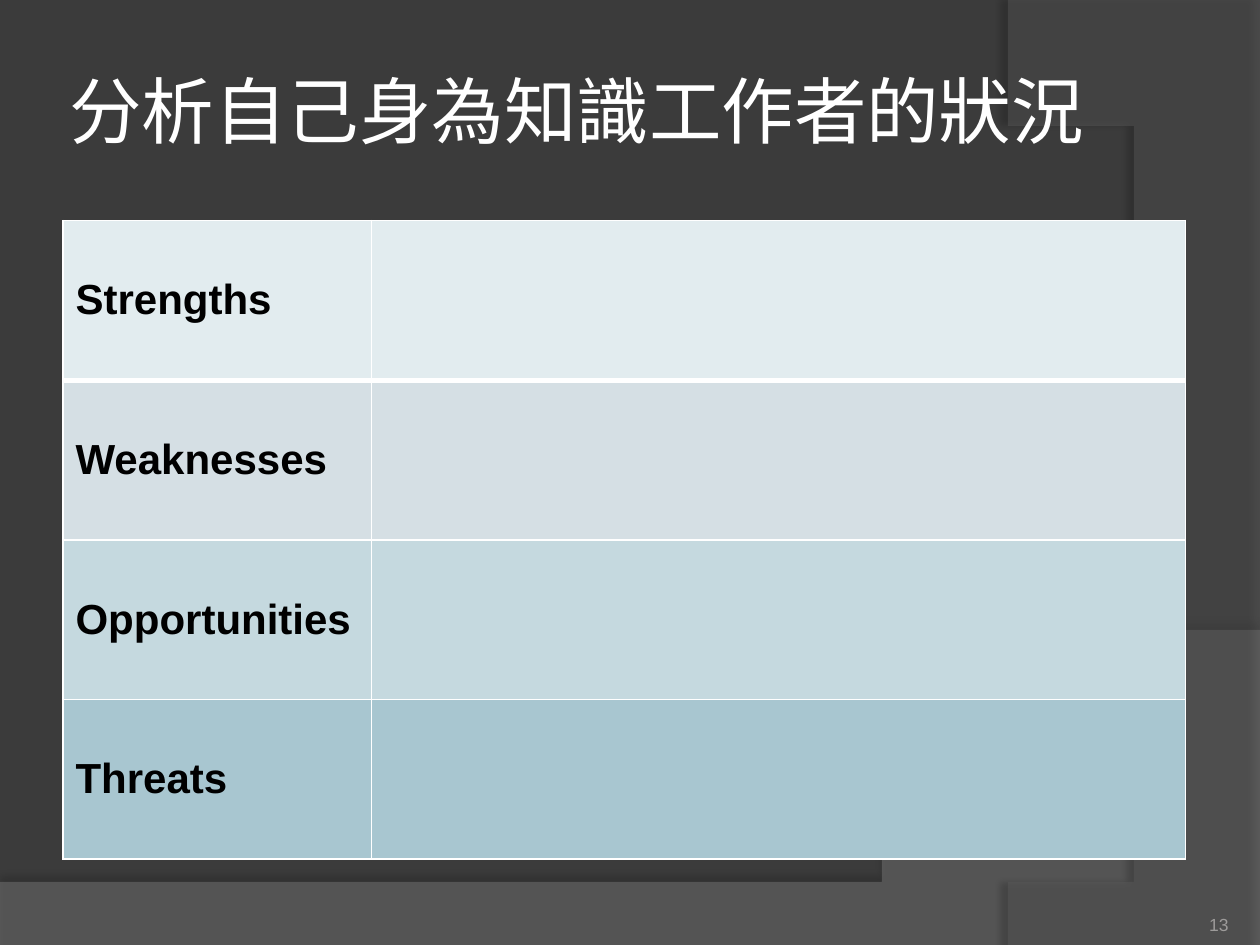
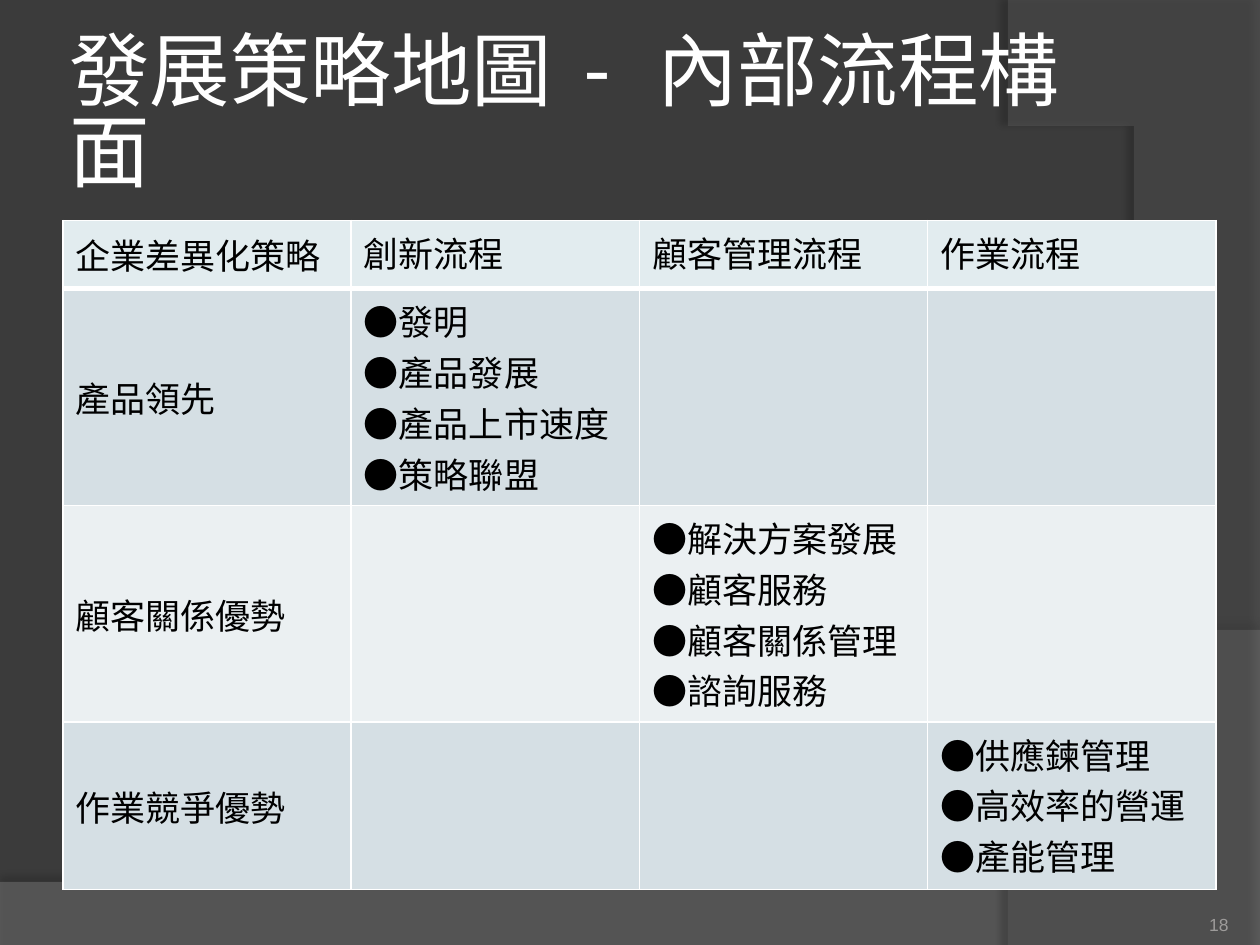
from collections import namedtuple

from lxml.etree import SubElement
from pptx import Presentation
from pptx.dml.color import RGBColor
from pptx.enum.text import MSO_ANCHOR, MSO_AUTO_SIZE, PP_ALIGN
from pptx.oxml.ns import qn
from pptx.util import Inches, Pt

Box = namedtuple("Box", "left top width height")

CHARCOAL = RGBColor(0x3B, 0x3B, 0x3B)
WAVE_GREY = RGBColor(0x7F, 0x7F, 0x7F)
ARC_GREY = RGBColor(0x5E, 0x5E, 0x5E)
NUMBER_GREY = RGBColor(0x9D, 0x9B, 0x9A)
WHITE = RGBColor(0xFF, 0xFF, 0xFF)
BLACK = RGBColor(0x00, 0x00, 0x00)
ICE = RGBColor(0xE2, 0xEC, 0xEF)
MIST = RGBColor(0xD5, 0xDF, 0xE4)
PALE = RGBColor(0xEB, 0xF0, 0xF2)
LIGHT_TEAL = RGBColor(0xC5, 0xD9, 0xDF)
TEAL = RGBColor(0xA8, 0xC6, 0xD0)

TITLE_FONT = "Lato"
BODY_FONT = "Arial"
SLIDE = Box(0, 0, 10, 7.5)
NUMBER_BOX = Box(8.92, 7.02, 0.83, 0.4)
THIN, THICK = 1, 3
CURVE_STEPS = 40

SWOT_ROWS = [["Strengths", ""], ["Weaknesses", ""], ["Opportunities", ""], ["Threats", ""]]
STRATEGY_ROWS = [
    ["企業差異化策略", "創新流程", "顧客管理流程", "作業流程"],
    ["產品領先", "●發明\n●產品發展\n●產品上市速度\n●策略聯盟", "", ""],
    ["顧客關係優勢", "", "●解決方案發展\n●顧客服務\n●顧客關係管理\n●諮詢服務", ""],
    ["作業競爭優勢", "", "", "●供應鍊管理\n●高效率的營運\n●產能管理"],
]


def lengths(box):
    return [Inches(length) for length in box]


def add_span(para, text, font, size, color, bold=False):
    span = para.add_run()
    span.text = text
    span.font.name = font
    span.font.size = Pt(size)
    span.font.bold = bold
    span.font.color.rgb = color
    return span


def curve(start, pull_start, pull_end, end):
    points = []
    for step in range(CURVE_STEPS + 1):
        t = step / CURVE_STEPS
        weights = ((1 - t) ** 3, 3 * t * (1 - t) ** 2, 3 * t**2 * (1 - t), t**3)
        corners = (start, pull_start, pull_end, end)
        points.append(tuple(
            sum(weight * corner[axis] for weight, corner in zip(weights, corners))
            for axis in (0, 1)
        ))
    return points


def set_alpha(color_element, percent):
    SubElement(color_element, qn("a:alpha"), val=str(percent * 1000))


def add_backdrop_shape(page, box, outline, color, opacity, shadow):
    points = [(box.left + x * box.width, box.top + y * box.height) for x, y in outline]
    builder = page.shapes.build_freeform(*points[0], scale=Inches(1))
    builder.add_line_segments(points[1:], close=True)
    shape = builder.convert_to_shape()
    shape.fill.solid()
    shape.fill.fore_color.rgb = color
    shape.line.fill.background()
    shape.shadow.inherit = False
    properties = shape.element.spPr
    set_alpha(properties.find(qn("a:solidFill")).find(qn("a:srgbClr")), opacity)
    strength, blur, distance, angle = shadow
    outer = SubElement(
        properties.find(qn("a:effectLst")), qn("a:outerShdw"),
        blurRad=str(Pt(blur)), dist=str(Pt(distance)), dir=str(angle * 60000),
        algn="ctr", rotWithShape="0",
    )
    set_alpha(SubElement(outer, qn("a:srgbClr"), val=str(BLACK)), strength)
    return shape


def add_backdrop(deck, page, box):
    master = deck.slide_master
    master.background.fill.solid()
    master.background.fill.fore_color.rgb = CHARCOAL
    wave = [(0, 1), (1, 1)] + curve((1, 0.693), (0.559, 0.972), (0.391, 0.959), (0, 0.94))
    arc = [(1, 0), (1, 1)] + curve((0.821, 1), (0.935, 0.825), (1.018, 0.4), (0.8, 0))
    shapes = [
        add_backdrop_shape(page, box, wave, WAVE_GREY, 45, (35, 4, 3.5, 270)),
        add_backdrop_shape(page, box, arc, ARC_GREY, 40, (45, 4, 4, 180)),
    ]
    for position, shape in enumerate(shapes, start=2):
        master.shapes.element.insert(position, shape.element)


def place_title(page, box, parts, size):
    title = page.shapes.title
    title.left, title.top, title.width, title.height = lengths(box)
    frame = title.text_frame
    frame.word_wrap = True
    frame.auto_size = MSO_AUTO_SIZE.NONE
    frame.vertical_anchor = MSO_ANCHOR.MIDDLE
    frame.margin_left = frame.margin_right = Inches(0.05)
    frame.margin_top = frame.margin_bottom = Inches(0.05)
    para = frame.paragraphs[0]
    para.alignment = PP_ALIGN.LEFT
    para.line_spacing = 0.84
    for text, tracking in parts:
        span = add_span(para, text, TITLE_FONT, size, WHITE)
        if tracking:
            span.font.element.set("spc", str(tracking * 100)) if hasattr(
                span.font, "element") else span._r.get_or_add_rPr().set("spc", str(tracking * 100))


def place_number(page, box, number):
    frame = page.shapes.add_textbox(*lengths(box)).text_frame
    frame.word_wrap = True
    frame.vertical_anchor = MSO_ANCHOR.BOTTOM
    frame.margin_left = frame.margin_right = frame.margin_top = frame.margin_bottom = 0
    para = frame.paragraphs[0]
    para.alignment = PP_ALIGN.RIGHT
    add_span(para, str(number), BODY_FONT, 10, NUMBER_GREY)


def set_borders(cell, top, bottom):
    properties = cell._tc.get_or_add_tcPr()
    sides = (("a:lnL", THIN), ("a:lnR", THIN), ("a:lnT", top), ("a:lnB", bottom))
    for position, (side, width) in enumerate(sides):
        line = SubElement(properties, qn(side), w=str(Pt(width)))
        fill = SubElement(line, qn("a:solidFill"))
        SubElement(fill, qn("a:srgbClr"), val=str(WHITE))
        properties.insert(position, line)


def fill_cell(cell, text, size, bold, anchor):
    cell.vertical_anchor = anchor
    frame = cell.text_frame
    for index, line in enumerate(text.split("\n") if text else []):
        para = frame.add_paragraph() if index else frame.paragraphs[0]
        add_span(para, line, BODY_FONT, size, BLACK, bold)


def place_table(page, box, rows, column_shares, row_shares, fills, size, bold=False):
    table = page.shapes.add_table(len(rows), len(rows[0]), *lengths(box)).table
    table.first_row = table.horz_banding = False
    for column, share in zip(table.columns, column_shares):
        column.width = Inches(box.width * share)
    for row_index, (texts, share, color) in enumerate(zip(rows, row_shares, fills)):
        table.rows[row_index].height = Inches(box.height * share)
        for column_index, text in enumerate(texts):
            cell = table.cell(row_index, column_index)
            cell.fill.solid()
            cell.fill.fore_color.rgb = color
            set_borders(
                cell,
                top=THICK if row_index == 1 else THIN,
                bottom=THICK if row_index == 0 else THIN,
            )
            anchor = MSO_ANCHOR.TOP if column_index else MSO_ANCHOR.MIDDLE
            fill_cell(cell, text, size, bold, anchor)


def add_page(deck, number):
    page = deck.slides.add_slide(deck.slide_layouts.get_by_name("Title Only"))
    place_number(page, NUMBER_BOX, number)
    return page


def add_swot_page(deck):
    page = add_page(deck, 13)
    place_title(page, Box(0.5, 0.3, 8.17, 1.25), [("分析自己身為知識工作者的狀況", 0)], 41.4)
    place_table(
        page, Box(0.5, 1.75, 8.91, 5.07), SWOT_ROWS, (0.275, 0.725), [1 / 4] * 4,
        (ICE, MIST, LIGHT_TEAL, TEAL), 24, bold=True,
    )
    return page


def add_strategy_page(deck):
    page = add_page(deck, 18)
    title = [("發展策略地圖", 0), (" - ", 7), ("內部流程構面", 0)]
    place_title(page, Box(0.5, 0.3, 8.44, 1.25), title, 46)
    place_table(
        page, Box(0.5, 1.75, 9.15, 5.31), STRATEGY_ROWS, [1 / 4] * 4,
        (0.102, 0.324, 0.324, 0.25), (ICE, MIST, PALE, MIST), 20,
    )
    return page


def main():
    deck = Presentation()
    deck.slide_width, deck.slide_height = Inches(SLIDE.width), Inches(SLIDE.height)
    swot_page = add_swot_page(deck)
    add_strategy_page(deck)
    add_backdrop(deck, swot_page, SLIDE)
    deck.save("out.pptx")


if __name__ == "__main__":
    main()
